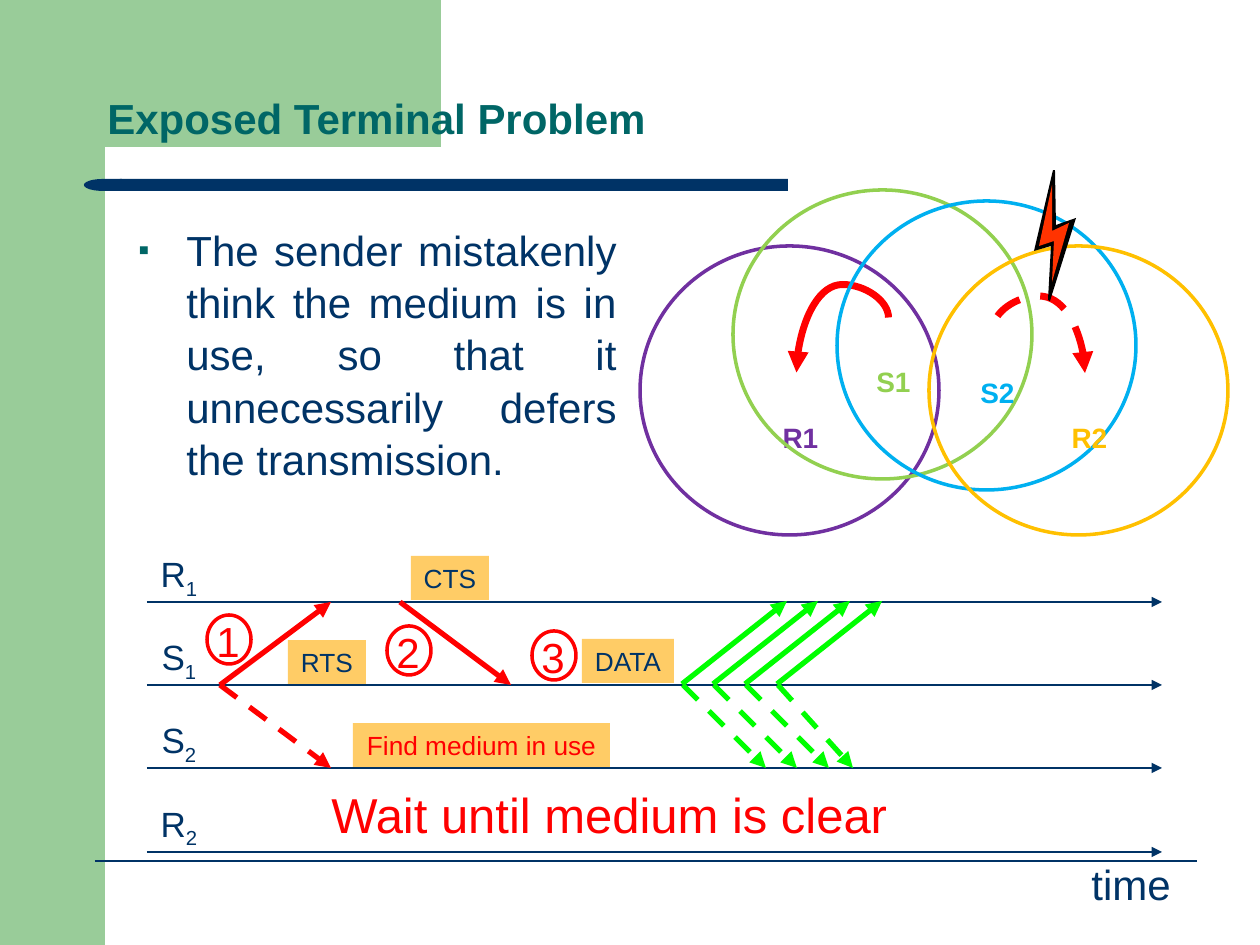
from pptx import Presentation
from pptx.dml.color import RGBColor
from pptx.enum.dml import MSO_LINE
from pptx.enum.shapes import MSO_CONNECTOR, MSO_SHAPE
from pptx.enum.text import MSO_ANCHOR, PP_ALIGN
from pptx.oxml.ns import qn
from pptx.util import Pt
from lxml.etree import SubElement

SCALE = 914400 / 126
NAVY, TEAL, LEAF, RED, LIME, SAND = (
    "003366", "006666", "99CC99", "FF0000", "00FF00", "FFCC66")


def px(*vals):
    """Turn px lengths into EMU."""
    return [round(v * SCALE) for v in vals]


def tint(text):
    """Turn a hex string into a colour."""
    return RGBColor.from_string(text)


def paint(shape, fill=None, line=None):
    """Set fill and outline of a shape, or clear them."""
    shape.shadow.inherit = False
    if fill:
        shape.fill.solid()
        shape.fill.fore_color.rgb = tint(fill)
    else:
        shape.fill.background()
    if line:
        shape.line.color.rgb = tint(line)
        shape.line.width = Pt(2)
    else:
        shape.line.fill.background()
    return shape


def form(slide, kind, box, fill=None, line=None):
    """Add a preset shape."""
    return paint(slide.shapes.add_shape(kind, *px(*box)), fill, line)


def style(font, size, color, bold=False):
    """Set face, size and colour of a font."""
    font.name, font.size, font.bold = "Arial", Pt(size), bold
    font.color.rgb = tint(color)


def label(slide, box, text, size, color, bold=False, fill=None,
          align=PP_ALIGN.CENTER, wrap=False, sub=""):
    """Add one line of text, with an optional subscript."""
    shape = slide.shapes.add_textbox(*px(*box))
    if fill:
        paint(shape, fill)
    frame = shape.text_frame
    frame.word_wrap = wrap
    frame.text = text
    para = frame.paragraphs[0]
    para.alignment = align
    if sub:
        run = para.add_run()
        run.text = sub
        run.font._element.set("baseline", "-25000")
    for run in para.runs:
        style(run.font, size, color, bold)
    return frame


def link(slide, ends, color, width, dash=False, head=None,
         kind=MSO_CONNECTOR.STRAIGHT):
    """Add a line, with an arrowhead at headEnd or tailEnd if named."""
    wire = slide.shapes.add_connector(kind, *px(*ends))
    wire.line.color.rgb = tint(color)
    wire.line.width = Pt(width)
    if dash:
        wire.line.dash_style = MSO_LINE.DASH
    props = wire._element.spPr
    if head:
        SubElement(props.find(qn("a:ln")), qn("a:" + head), type="triangle")
    SubElement(props, qn("a:effectLst"))
    return props


def bend(slide, ends, turn, adj, dash=False):
    """Add a turned curved arrow."""
    props = link(slide, ends, RED, 4, dash, "headEnd", MSO_CONNECTOR.CURVE)
    props.find(qn("a:xfrm")).set("rot", str(turn * 60000))
    geom = props.find(qn("a:prstGeom"))
    geom.set("prst", "curvedConnector3")
    marks = geom.find(qn("a:avLst"))
    if marks is None:
        marks = SubElement(geom, qn("a:avLst"))
    SubElement(marks, qn("a:gd"), name="adj1", fmla=f"val {adj}")


def frame_art(slide, x, y):
    """Draw the green blocks, the title bar and the foot line."""
    form(slide, MSO_SHAPE.RECTANGLE, (x, y, 105, 945), LEAF)
    form(slide, MSO_SHAPE.RECTANGLE, (x + 95, y, 346, 147), LEAF)
    bar = form(slide, MSO_SHAPE.ROUNDED_RECTANGLE,
               (x + 120, y + 179, 668, 12), NAVY)
    bar.adjustments[0] = 0
    cap = form(slide, MSO_SHAPE.FLOWCHART_DELAY,
               (x + 84, y + 179, 38, 12), NAVY)
    cap._element.spPr.find(qn("a:xfrm")).set("flipH", "1")
    link(slide, (x + 95, y + 861, x + 1197, y + 861), NAVY, 0.75)


def heading(slide, box):
    """Write the title."""
    frame = label(slide, box, "Exposed Terminal Problem", 24, TEAL, True,
                  align=PP_ALIGN.LEFT, wrap=True)
    frame.vertical_anchor = MSO_ANCHOR.MIDDLE
    frame.paragraphs[0].line_spacing = 0.9


def note(slide, box):
    """Write the bulleted statement."""
    frame = slide.shapes.add_textbox(*px(*box)).text_frame
    frame.word_wrap = True
    frame.text = ("The sender mistakenly think the medium is in use, so that "
                  "it unnecessarily defers the transmission.")
    para = frame.paragraphs[0]
    para.alignment = PP_ALIGN.JUSTIFY
    para.line_spacing = 1.04
    props = para._p.get_or_add_pPr()
    left, back = px(111, -48)
    props.set("marL", str(left))
    props.set("indent", str(back))
    SubElement(SubElement(props, qn("a:buClr")), qn("a:srgbClr"), val=TEAL)
    SubElement(props, qn("a:buSzPct"), val="75000")
    SubElement(props, qn("a:buFont"), typeface="Arial")
    SubElement(props, qn("a:buChar"), char="▪")
    style(para.runs[0].font, 24, NAVY)


def bolt(slide, x, y):
    """Draw the lightning bolt."""
    edge = [(22, 55), (21, 0), (19, 0), (0, 81), (17, 76), (14, 130),
            (16, 131), (42, 48)]
    core = [(18, 15), (5, 76), (20, 71), (18, 112), (35, 53), (18, 61)]
    for pts, color in ((edge, "000000"), (core, "FF3300")):
        pts = [(x + a, y + b) for a, b in pts]
        path = slide.shapes.build_freeform(*pts[0], scale=SCALE)
        path.add_line_segments(pts[1:], close=True)
        paint(path.convert_to_shape(), color)


def ranges(slide, x, y):
    """Draw the four radio ranges with their signals."""
    bend(slide, (x + 175, y + 109, x + 230, y + 201), 270, 160000)
    rings = [("R1", 0, 56, "7030A0"), ("S1", 93, 0, "92D050"),
             ("S2", 197, 11, "00B0F0"), ("R2", 289, 56, "FFC000")]
    for name, dx, dy, color in rings:
        left, top = x + dx, y + dy
        form(slide, MSO_SHAPE.OVAL, (left, top, 299, 289), line=color)
        label(slide, (left + 130, top + 168, 61, 47), name, 16, color, True)
    bend(slide, (x + 421, y + 115, x + 377, y + 207), 90, 175000, True)
    bolt(slide, x + 394, y - 20)


def timeline(slide, x, y):
    """Draw the time axes and the messages between them."""
    rows = [y + i * 250 // 3 for i in range(4)]
    for (name, sub), row in zip(("R1", "S1", "S2", "R2"), rows):
        link(slide, (x, row, x + 1015, row), NAVY, 0.75, head="tailEnd")
        label(slide, (x, row - 56, 64, 55), name, 20, NAVY, sub=sub)
    label(slide, (x + 932, rows[3], 159, 50), "time", 24, NAVY,
          align=PP_ALIGN.LEFT)

    top, mid, low = rows[:3]
    sent = [(73, mid, 184, top, RED, False), (253, top, 364, mid, RED, False),
            (73, mid, 184, low, RED, True)]
    for i, end in enumerate((619, 650, 682, 706)):
        start = 535 + i * 95 // 3
        sent += [(start, mid - 1, start + 105, top - 1, LIME, False),
                 (start + 1, mid, end, low, LIME, True)]
    for x1, y1, x2, y2, color, dash in sent:
        link(slide, (x + x1, y1, x + x2, y2), color, 3, dash, "tailEnd")

    tags = [("RTS", 141, 38, 78, NAVY), ("CTS", 264, -46, 78, NAVY),
            ("DATA", 435, 37, 92, NAVY),
            ("Find medium in use", 206, 121, 257, RED)]
    for text, dx, dy, wide, color in tags:
        label(slide, (x + dx, y + dy, wide, 44), text, 15, color, fill=SAND)
    for num, dx, dy in (("1", 49, 7), ("2", 229, 18), ("3", 374, 23)):
        left, up = x + dx, y + dy
        label(slide, (left, up, 64, 63), num, 24, RED, wrap=True)
        form(slide, MSO_SHAPE.OVAL, (left + 11, up + 6, 44, 49), line=RED)
    label(slide, (x + 172, y + 176, 588, 72), "Wait until medium is clear",
          28, RED, align=PP_ALIGN.LEFT)


def main():
    """Build and save the slide."""
    deck = Presentation()
    deck.slide_width, deck.slide_height = px(1260, 945)
    slide = deck.slides.add_slide(deck.slide_layouts[6])
    frame_art(slide, 0, 0)
    heading(slide, (95, 73, 1134, 95))
    ranges(slide, 640, 190)
    note(slide, (63, 216, 566, 267))
    timeline(slide, 147, 602)
    deck.save("out.pptx")


if __name__ == "__main__":
    main()
